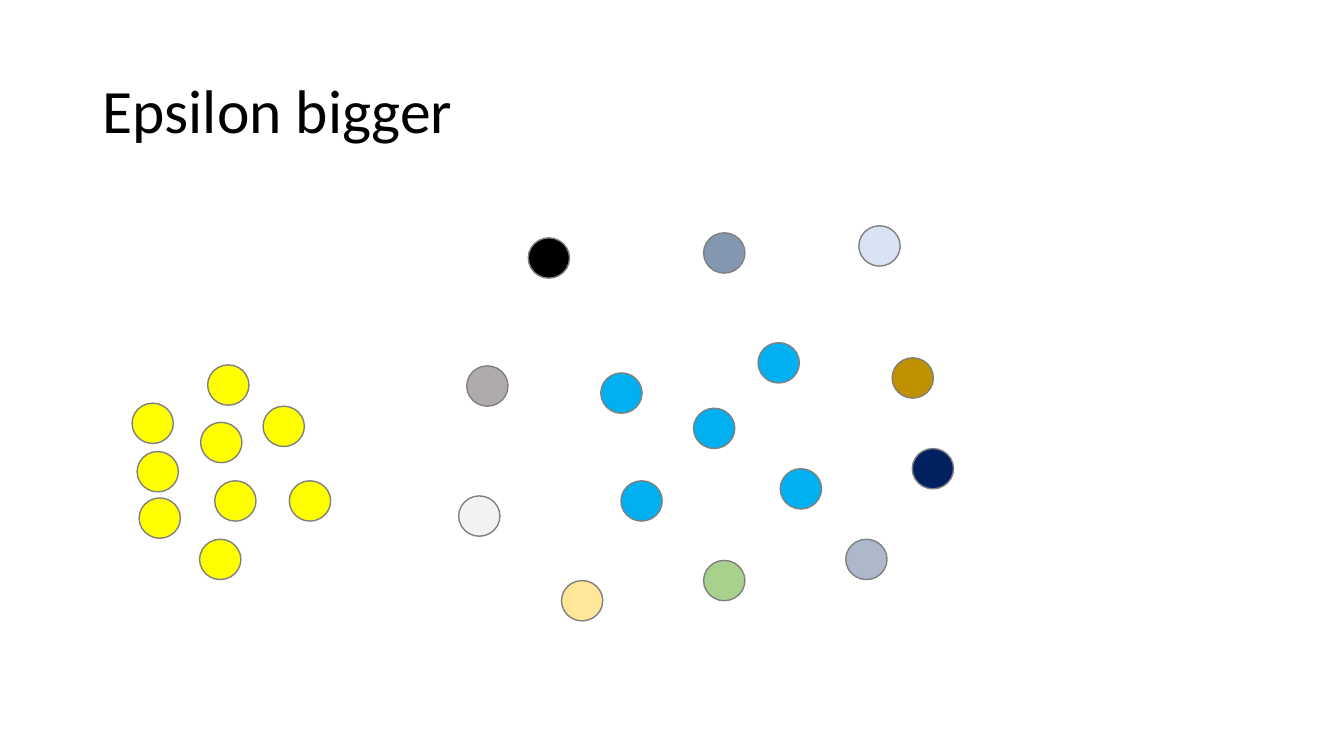
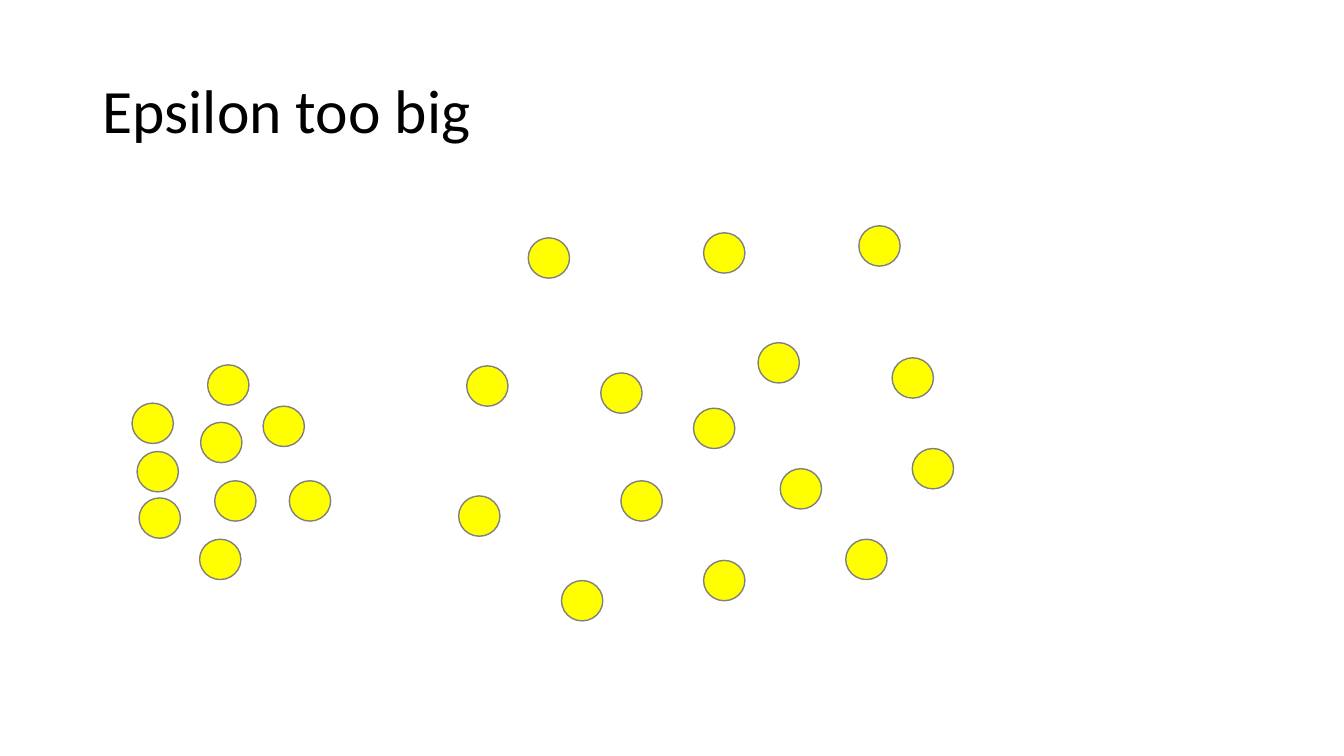
from dataclasses import dataclass

from pptx import Presentation
from pptx.dml.color import RGBColor
from pptx.enum.shapes import MSO_SHAPE
from pptx.enum.text import MSO_ANCHOR, PP_ALIGN
from pptx.presentation import Presentation as Deck
from pptx.slide import Slide
from pptx.util import Inches, Length, Pt

OVAL = MSO_SHAPE.OVAL
MIDDLE = MSO_ANCHOR.MIDDLE
LEFT = PP_ALIGN.LEFT

BLANK_LAYOUT = 6
COLUMNS, ROWS = 133.33, 75
CELL = Inches(0.1)

BLACK = "000000"
YELLOW = "FFFF00"
BLUE = "00B0F0"
OUTLINE = "808080"

TITLE_AREA = (9.2, 4, 115, 14.5)
TITLE_FONT = {"name": "Calibri", "size": Pt(44), "bold": False}
TITLE_FRAME = {"word_wrap": True, "vertical_anchor": MIDDLE}
TITLE_PARAGRAPH = {"line_spacing": 0.9, "alignment": LEFT}
POINT_WIDTH, POINT_HEIGHT = 4.1, 4


@dataclass(frozen=True)
class DataPoint:
    """Left column, top row and cluster colour of one scattered point."""
    column: float
    row: float
    color: str


@dataclass(frozen=True)
class ClusterPage:
    """A title and, when all points share a cluster, its colour."""
    title: str
    shared_color: str | None = None


DENSE_CLUSTER = [(20.6, 36.2), (13.1, 40), (19.8, 53.5), (13.8, 49.4),
                 (21.3, 47.7), (26.1, 40.3), (13.6, 44.8), (19.9, 41.9),
                 (28.7, 47.7)]
LOOSE_CLUSTER = [(61.6, 47.7), (59.6, 37), (75.2, 34), (77.4, 46.5),
                 (68.8, 40.5)]
SINGLE_POINTS = [
    DataPoint(46.3, 36.3, "AFABAB"),
    DataPoint(52.4, 23.6, BLACK),
    DataPoint(55.7, 57.6, "FFE699"),
    DataPoint(69.8, 55.6, "A9D18E"),
    DataPoint(83.9, 53.5, "ADB9CA"),
    DataPoint(69.8, 23.1, "8497B0"),
    DataPoint(90.5, 44.5, "002060"),
    DataPoint(88.5, 35.5, "BF9000"),
    DataPoint(85.2, 22.4, "DAE3F3"),
    DataPoint(45.5, 49.2, "F2F2F2"),
]
POINTS = [
    *(DataPoint(column, row, YELLOW) for column, row in DENSE_CLUSTER),
    *(DataPoint(column, row, BLUE) for column, row in LOOSE_CLUSTER),
    *SINGLE_POINTS,
]
PAGES = [
    ClusterPage("Epsilon bigger"),
    ClusterPage("Epsilon too big", shared_color=YELLOW),
]


def rgb(color: str) -> RGBColor:
    return RGBColor.from_string(color)


def cells(count: float) -> Length:
    return Length(round(count * CELL))


def apply_format(target: object, values: dict[str, object]) -> None:
    for name, value in values.items():
        setattr(target, name, value)


def add_title(page: Slide, text: str) -> None:
    box = page.shapes.add_textbox(*map(cells, TITLE_AREA))
    apply_format(box.text_frame, TITLE_FRAME)
    para = box.text_frame.paragraphs[0]
    apply_format(para, TITLE_PARAGRAPH)
    span = para.add_run()
    span.text = text
    apply_format(span.font, TITLE_FONT)
    span.font.color.rgb = rgb(BLACK)


def add_point(page: Slide, point: DataPoint, color: str) -> None:
    area = (point.column, point.row, POINT_WIDTH, POINT_HEIGHT)
    circle = page.shapes.add_shape(OVAL, *map(cells, area))
    circle.shadow.inherit = False
    circle.fill.solid()
    circle.fill.fore_color.rgb = rgb(color)
    circle.line.color.rgb = rgb(OUTLINE)
    circle.line.width = Pt(1)


def add_cluster_page(deck: Deck, content: ClusterPage) -> None:
    page = deck.slides.add_slide(deck.slide_layouts[BLANK_LAYOUT])
    add_title(page, content.title)
    for point in POINTS:
        add_point(page, point, content.shared_color or point.color)


def main() -> None:
    deck = Presentation()
    deck.slide_width, deck.slide_height = cells(COLUMNS), cells(ROWS)
    for content in PAGES:
        add_cluster_page(deck, content)
    deck.save("out.pptx")


if __name__ == "__main__":
    main()
